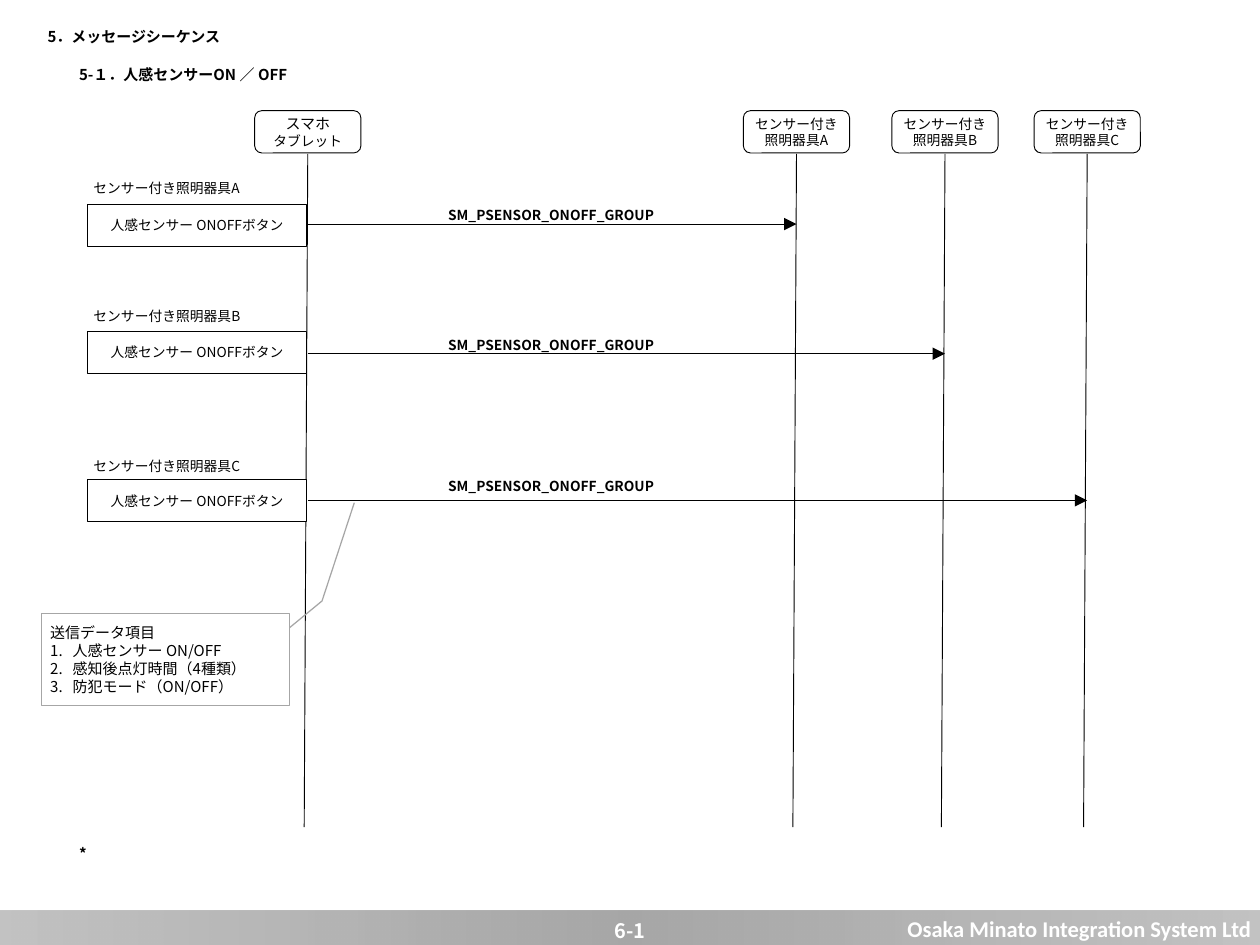
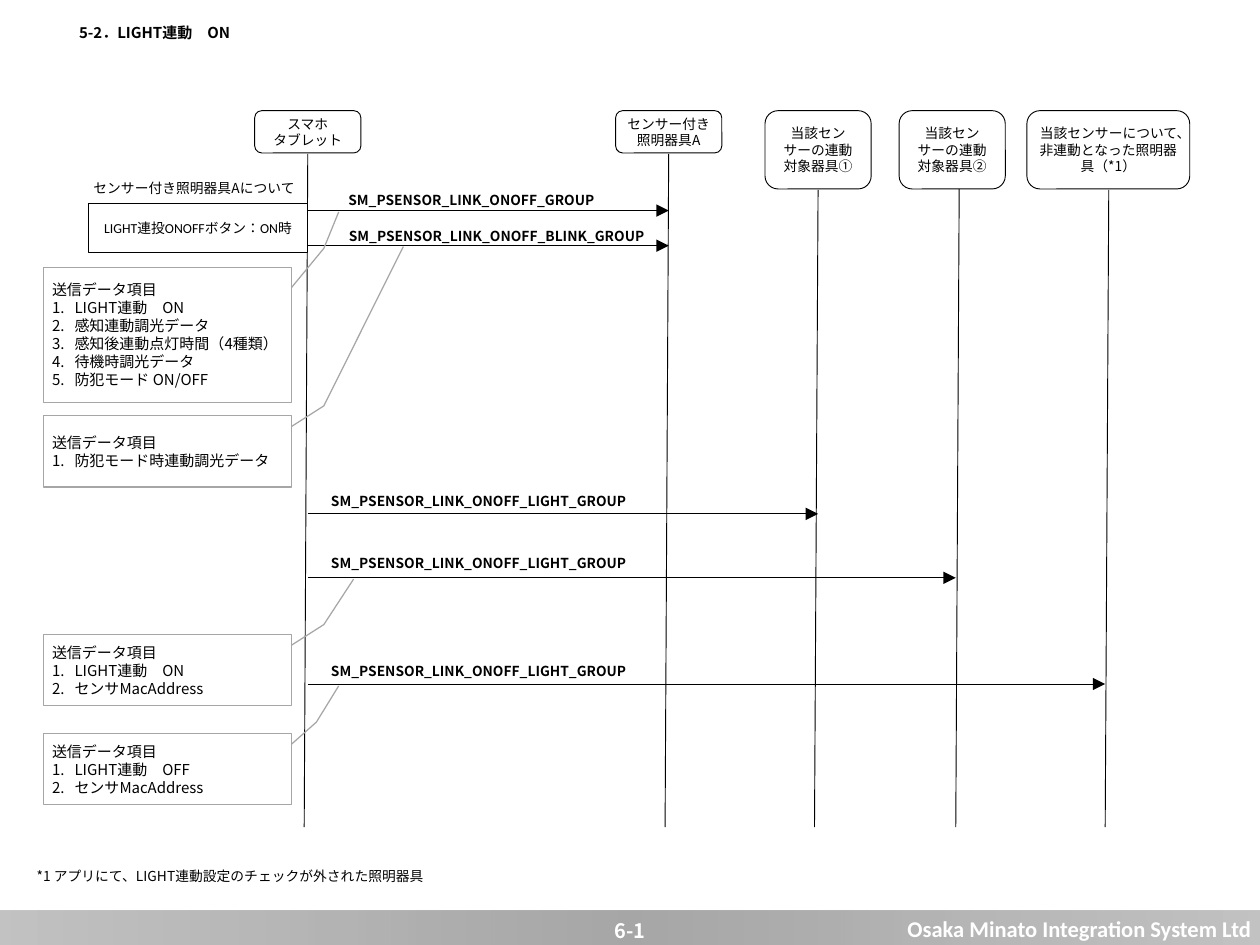
from dataclasses import dataclass

from lxml import etree
from pptx import Presentation
from pptx.dml.color import RGBColor
from pptx.enum.lang import MSO_LANGUAGE_ID
from pptx.enum.shapes import MSO_CONNECTOR, MSO_SHAPE
from pptx.enum.text import MSO_ANCHOR, PP_ALIGN
from pptx.oxml.ns import qn
from pptx.util import Inches, Pt

LEFT, CENTER, RIGHT = PP_ALIGN.LEFT, PP_ALIGN.CENTER, PP_ALIGN.RIGHT
TOP, MIDDLE = MSO_ANCHOR.TOP, MSO_ANCHOR.MIDDLE
RECTANGLE, ROUNDED = MSO_SHAPE.RECTANGLE, MSO_SHAPE.ROUNDED_RECTANGLE
CALLOUT = MSO_SHAPE.LINE_CALLOUT_2
STRAIGHT = MSO_CONNECTOR.STRAIGHT
JAPANESE = MSO_LANGUAGE_ID.JAPANESE


@dataclass(frozen=True)
class Theme:
    ink: RGBColor = RGBColor(0, 0, 0)
    paper: RGBColor = RGBColor(255, 255, 255)
    callout_line: RGBColor = RGBColor(0xA6, 0xA6, 0xA6)
    # position, colour and opacity of each stop, in thousandths of a percent
    band: tuple = ((0, "C0C0C0", 95000), (50000, "A7A7A7", 100000),
                   (100000, "C0C0C0", 95000))
    font: str = "Noto Sans CJK JP"
    latin_font: str = "Calibri"
    title: int = 12
    body: int = 11
    note: int = 12
    number: int = 16
    owner: int = 18


theme = Theme()
ON_OFF = "人感センサー ONOFFボタン"
GROUP = "SM_PSENSOR_ONOFF_GROUP"
LINK = "SM_PSENSOR_LINK_ONOFF_"
NOTE_HEAD = "送信データ項目"

pages = [
    {
        # text, left, top
        "titles": [("5．メッセージシーケンス", 0.43, 0.26),
                   ("5-１．人感センサーON ／ OFF", 0.78, 0.68),
                   ("*", 0.78, 9.34)],
        "phone_size": 12,
        # text, left, width, height, lifeline x
        "actors": [("スマホ\nタブレット", 2.83, 1.18, 0.47, 3.42),
                   ("センサー付き\n照明器具A", 8.26, 1.18, 0.47, 8.85),
                   ("センサー付き\n照明器具B", 9.91, 1.18, 0.47, 10.5),
                   ("センサー付き\n照明器具C", 11.49, 1.18, 0.47, 12.08)],
        # text, left, top, height, font
        "buttons": [(ON_OFF, 0.97, top, 0.47, theme.font)
                    for top in (2.27, 3.68, 5.33)],
        # text, label top, label width, arrow y, arrow end x
        "messages": [(GROUP, 2.16, 5.43, 2.49, 8.85),
                     (GROUP, 3.6, 5.43, 3.93, 10.5),
                     (GROUP, 5.17, 5.43, 5.56, 12.08)],
        # text, left, top, width
        "captions": [("センサー付き照明器具A", 0.94, 1.86, 5.43),
                     ("センサー付き照明器具B", 0.94, 3.28, 5.43),
                     ("センサー付き照明器具C", 0.94, 4.94, 5.43)],
        # items, left, top, height, bend (y, x) and tip (y, x)
        "callouts": [(["人感センサー ON/OFF", "感知後点灯時間（4種類）",
                       "防犯モード（ON/OFF）"],
                      0.46, 6.82, 1.02, (-0.14, 1.13, -1.21, 1.26))],
    },
    {
        "titles": [("5-2．LIGHT連動　ON", 0.78, 0.21)],
        "phone_size": 11,
        "actors": [("スマホ\nタブレット", 2.83, 1.18, 0.47, 3.42),
                   ("センサー付き\n照明器具A", 6.84, 1.18, 0.47, 7.43),
                   ("当該センサーの連動対象器具①", 8.5, 1.18, 0.87, 9.09),
                   ("当該センサーの連動対象器具②", 9.99, 1.18, 0.87, 10.66),
                   ("当該センサーについて、非連動となった照明器具（*1）",
                    11.41, 1.81, 0.87, 12.32)],
        "buttons": [("LIGHT連投ONOFFボタン：ON時", 0.98, 2.26, 0.55,
                     theme.latin_font)],
        "messages": [(LINK + "GROUP", 1.99, 3.66, 2.34, 7.43),
                     (LINK + "BLINK_GROUP", 2.39, 4.22, 2.73, 7.43),
                     (LINK + "LIGHT_GROUP", 5.33, 3.82, 5.71, 9.09),
                     (LINK + "LIGHT_GROUP", 6.02, 3.82, 6.42, 10.62),
                     (LINK + "LIGHT_GROUP", 7.22, 3.82, 7.6, 12.28)],
        "captions": [("センサー付き照明器具Aについて", 0.94, 1.86, 5.43),
                     ("*1 アプリにて、LIGHT連動設定のチェックが外された照明器具",
                      0.31, 9.5, 6.54)],
        "callouts": [(["LIGHT連動　ON", "感知連動調光データ",
                       "感知後連動点灯時間（4種類）", "待機時調光データ",
                       "防犯モード ON/OFF"],
                      0.48, 2.97, 1.5, (-0.14, 1.13, -0.41, 1.19)),
                     (["防犯モード時連動調光データ"],
                      0.48, 4.62, 0.79, (-0.14, 1.13, -2.38, 1.45)),
                     (["LIGHT連動　ON", "センサMacAddress"],
                      0.48, 7.05, 0.79, (-0.14, 1.13, -0.78, 1.25)),
                     (["LIGHT連動　OFF", "センサMacAddress"],
                      0.48, 8.15, 0.79, (-0.16, 1.1, -0.67, 1.19))],
    },
]


def add_box(page, kind, place, text, size, align=CENTER, bold=False,
            color=theme.ink, font=theme.font, anchor=MIDDLE):
    """Add a text box (kind None) or a white outlined shape with its text."""
    place = [Inches(length) for length in place]
    if kind is None:
        box = page.shapes.add_textbox(*place)
    else:
        box = page.shapes.add_shape(kind, *place)
        box.shadow.inherit = False
        box.fill.solid()
        box.fill.fore_color.rgb = theme.paper
        box.line.color.rgb = theme.ink
        box.line.width = Pt(0.75)
    frame = box.text_frame
    frame.word_wrap = True
    frame.vertical_anchor = anchor
    frame.text = text
    for para in frame.paragraphs:
        para.alignment = align
        for span in para.runs:
            span.font.size = Pt(size)
            span.font.bold = bold
            span.font.name = font
            span.font.color.rgb = color
            span.font.language_id = JAPANESE
            east_asian = etree.SubElement(span.font._element, qn("a:ea"))
            east_asian.set("typeface", theme.font)
    return box


def add_line(page, start, end, arrow=False):
    line = page.shapes.add_connector(
        STRAIGHT, *[Inches(length) for length in (*start, *end)])
    line.line.color.rgb = theme.ink
    line.line.width = Pt(0.75)
    properties = line._element.spPr
    if arrow:
        tail = etree.SubElement(properties.find(qn("a:ln")), qn("a:tailEnd"))
        tail.set("type", "triangle")
        tail.set("w", "lg")
        tail.set("len", "lg")
    etree.SubElement(properties, qn("a:effectLst"))


deck = Presentation()
deck.slide_width, deck.slide_height = Inches(14), Inches(10.5)
blank = deck.slide_layouts[6]

for content in pages:
    page = deck.slides.add_slide(blank)

    # Footer band with owner and page number
    band = add_box(page, RECTANGLE, (0, 10.12, 14, 0.4),
                   "Osaka Minato Integration System Ltd", theme.owner, RIGHT,
                   True, theme.paper, theme.latin_font, TOP)
    band.line.fill.background()
    band.fill.gradient()
    band.fill.gradient_angle = 0
    stops = band._element.spPr.find(qn("a:gradFill")).find(qn("a:gsLst"))
    for stop in list(stops):
        stops.remove(stop)
    for position, color, opacity in theme.band:
        stop = etree.SubElement(stops, qn("a:gs"), pos=str(position))
        tone = etree.SubElement(stop, qn("a:srgbClr"), val=color)
        etree.SubElement(tone, qn("a:alpha"), val=str(opacity))
    add_box(page, None, (0, 10.16, 14, 0.37), "6-1", theme.number,
            bold=True, color=theme.paper, anchor=TOP)

    # Headings
    for text, left, top in content["titles"]:
        add_box(page, None, (left, top, 9.05, 0.3), text, theme.title, LEFT,
                True, anchor=TOP)

    # Lifelines, slightly slanted, under the actor boxes
    for text, left, width, height, x in content["actors"]:
        start = 1.71 if x == 10.66 else 1.24 + height
        add_line(page, (x, start), (x - 0.04, 9.19))
    for index, (text, left, width, height, x) in enumerate(content["actors"]):
        actor = add_box(page, ROUNDED, (left, 1.23, width, height), text,
                        theme.body)
        if index == 0:
            first = actor.text_frame.paragraphs[0].runs[0]
            first.font.size = Pt(content["phone_size"])

    # Buttons on the phone
    for text, left, top, height, font in content["buttons"]:
        add_box(page, RECTANGLE, (left, top, 2.44, height), text, theme.body,
                font=font)

    # Messages
    for text, top, width, y, end in content["messages"]:
        add_line(page, (3.42, y), (end, y), arrow=True)
        add_box(page, None, (3.41, top, width, 0.47), text, theme.body,
                bold=True)

    # Captions and footnote
    for text, left, top, width in content["captions"]:
        add_box(page, None, (left, top, width, 0.47), text, theme.body, LEFT)

    # Callouts listing the data sent
    for items, left, top, height, pointer in content["callouts"]:
        note = add_box(page, CALLOUT, (left, top, 2.76, height),
                       "\n".join([NOTE_HEAD, *items]), theme.note, LEFT)
        note.fill.background()
        note.line.color.rgb = theme.callout_line
        note.line.width = Pt(1)
        for index, value in enumerate((0.15, 1, *pointer)):
            note.adjustments[index] = value
        for index, para in enumerate(note.text_frame.paragraphs):
            layout = para._p.get_or_add_pPr()
            layout.set("marL", str(Inches(0.25)))
            layout.set("indent", str(-Inches(0.25)))
            if index:
                etree.SubElement(layout, qn("a:buFont"), typeface="+mj-lt")
                etree.SubElement(layout, qn("a:buAutoNum"),
                                 type="arabicPeriod")

deck.save("out.pptx")
